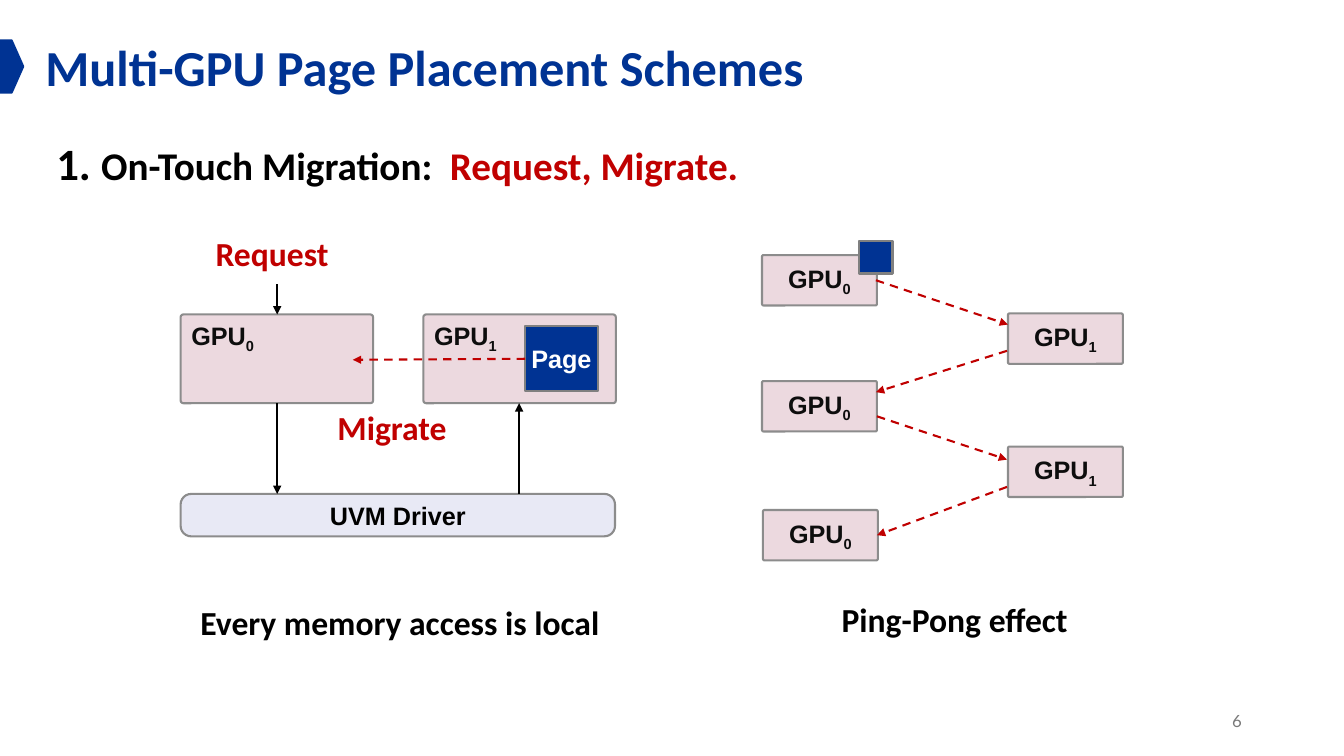
from lxml.etree import SubElement
from pptx import Presentation
from pptx.dml.color import RGBColor
from pptx.enum.dml import MSO_LINE
from pptx.enum.shapes import MSO_CONNECTOR, MSO_SHAPE
from pptx.enum.text import MSO_ANCHOR, MSO_AUTO_SIZE, PP_ALIGN
from pptx.oxml.ns import qn
from pptx.util import Pt

COLORS = {
    "navy": "003393", "red": "C00000", "black": "000000", "ink": "0D0D0D",
    "white": "FFFFFF", "pink": "ECD9DF", "lavender": "E8E9F5",
    "edge": "8C8C8C", "gray": "808080", "number": "797979",
}


def rgb(name):
    return RGBColor.from_string(COLORS[name])


def add_text(sp, text, size=18, color="ink", font="Arial", bold=True,
             align=PP_ALIGN.LEFT, anchor=MSO_ANCHOR.TOP, sub=""):
    tf = sp.text_frame
    tf.word_wrap = True
    tf.auto_size = MSO_AUTO_SIZE.NONE
    tf.vertical_anchor = anchor
    p = tf.paragraphs[0]
    p.alignment = align
    for part in filter(None, (text, sub)):
        r = p.add_run()
        r.text = part
        r.font.size, r.font.name, r.font.bold = Pt(size), font, bold
        r.font.color.rgb = rgb(color)
    if sub:
        r.font._element.set("baseline", "-25000")


prs = Presentation()
prs.slide_width, prs.slide_height = Pt(960), Pt(540)
s = prs.slides.add_slide(prs.slide_layouts[5])

title = s.shapes.title
title.left, title.top, title.width, title.height = Pt(25.2), Pt(22.3), Pt(904.3), Pt(51.1)
add_text(title, "Multi-GPU Page Placement Schemes", size=36, color="navy", font="Calibri")

ROUND, RECT = MSO_SHAPE.ROUNDED_RECTANGLE, MSO_SHAPE.RECTANGLE
CENTER = dict(align=PP_ALIGN.CENTER, anchor=MSO_ANCHOR.MIDDLE)
GPU_LEFT, GPU_RIGHT = dict(text="GPU", sub="0"), dict(text="GPU", sub="1")

boxes = [
    (MSO_SHAPE.PENTAGON, None, 0, 28.8, 16.6, 37.4, "navy", "navy", None),
    (ROUND, 0.031, 129, 224.6, 137.5, 63.4, "pink", "edge", GPU_LEFT),
    (ROUND, 0.031, 302.4, 224.6, 137.5, 63.4, "pink", "edge", GPU_RIGHT),
    (ROUND, 0.249, 129, 352.8, 310.3, 30.3, "lavender", "edge",
     dict(text="UVM Driver", color="black", **CENTER)),
    (RECT, None, 375.1, 232.6, 51.8, 46.8, "navy", "gray",
     dict(text="Page", color="white", **CENTER)),
]
for x, y, label in [(544.3, 182.2, GPU_LEFT), (720, 223.9, GPU_RIGHT),
                    (544.3, 272.2, GPU_LEFT), (720, 319, GPU_RIGHT),
                    (545, 364.3, GPU_LEFT)]:
    boxes.append((ROUND, 0.031, x, y, 82.1, 36, "pink", "edge", dict(**label, **CENTER)))
boxes.append((RECT, None, 613.8, 172.4, 23.8, 23, "navy", "gray", None))

for kind, adj, x, y, w, h, fill, line, label in boxes:
    sp = s.shapes.add_shape(kind, Pt(x), Pt(y), Pt(w), Pt(h))
    sp.shadow.inherit = False
    sp.fill.solid()
    sp.fill.fore_color.rgb = rgb(fill)
    sp.line.color.rgb = rgb(line)
    sp.line.width = Pt(1.5)
    if adj:
        sp.adjustments[0] = adj
    if label:
        if kind == RECT:
            sp.text_frame.margin_left = sp.text_frame.margin_right = 0
        add_text(sp, **label)

arrows = [
    (198, 203, 198, 224.6, "black"),
    (198, 288, 198, 352.8, "black"),
    (370.8, 352.8, 370.8, 288, "black"),
    (375.1, 256.3, 252, 257, "red"),
    (625.7, 200.2, 720, 231.8, "red"),
    (719.3, 250.6, 625.7, 280.1, "red"),
    (626.4, 297.4, 719.3, 328.3, "red"),
    (719.3, 347.8, 626.4, 382.3, "red"),
]
for x1, y1, x2, y2, color in arrows:
    c = s.shapes.add_connector(MSO_CONNECTOR.STRAIGHT, Pt(x1), Pt(y1), Pt(x2), Pt(y2))
    c.line.color.rgb = rgb(color)
    c.line.width = Pt(1.5)
    if color == "red":
        c.line.dash_style = MSO_LINE.DASH
    SubElement(c.line._get_or_add_ln(), qn("a:tailEnd"), type="triangle")
    SubElement(c._element.spPr, qn("a:effectLst"))

CAPTION = dict(size=24, font="Calibri")
texts = [
    (33.1, 93.6, 676.1, 46.1, [
        dict(text="1. ", size=32, color="black", font="Calibri"),
        dict(text="On-Touch Migration:  ", size=28, color="black", font="Calibri"),
        dict(text="Request, Migrate.", size=28, color="red", font="Calibri")]),
    (146.9, 162.7, 122.4, 36, [dict(text="Request", color="red", **CAPTION)]),
    (234, 287.3, 122.4, 36, [dict(text="Migrate", color="red", **CAPTION)]),
    (136.1, 426.2, 317.5, 36,
     [dict(text="Every memory access is local", color="black", **CAPTION)]),
    (594, 424.1, 198, 36, [dict(text="Ping-Pong effect", color="black", **CAPTION)]),
    (678.2, 500.4, 216, 28.8,
     [dict(text="6", size=12, color="number", font="Lato", bold=False,
           align=PP_ALIGN.RIGHT, anchor=MSO_ANCHOR.MIDDLE)]),
]
for x, y, w, h, runs in texts:
    sp = s.shapes.add_textbox(Pt(x), Pt(y), Pt(w), Pt(h))
    for run in runs:
        add_text(sp, **run)

prs.save("out.pptx")
